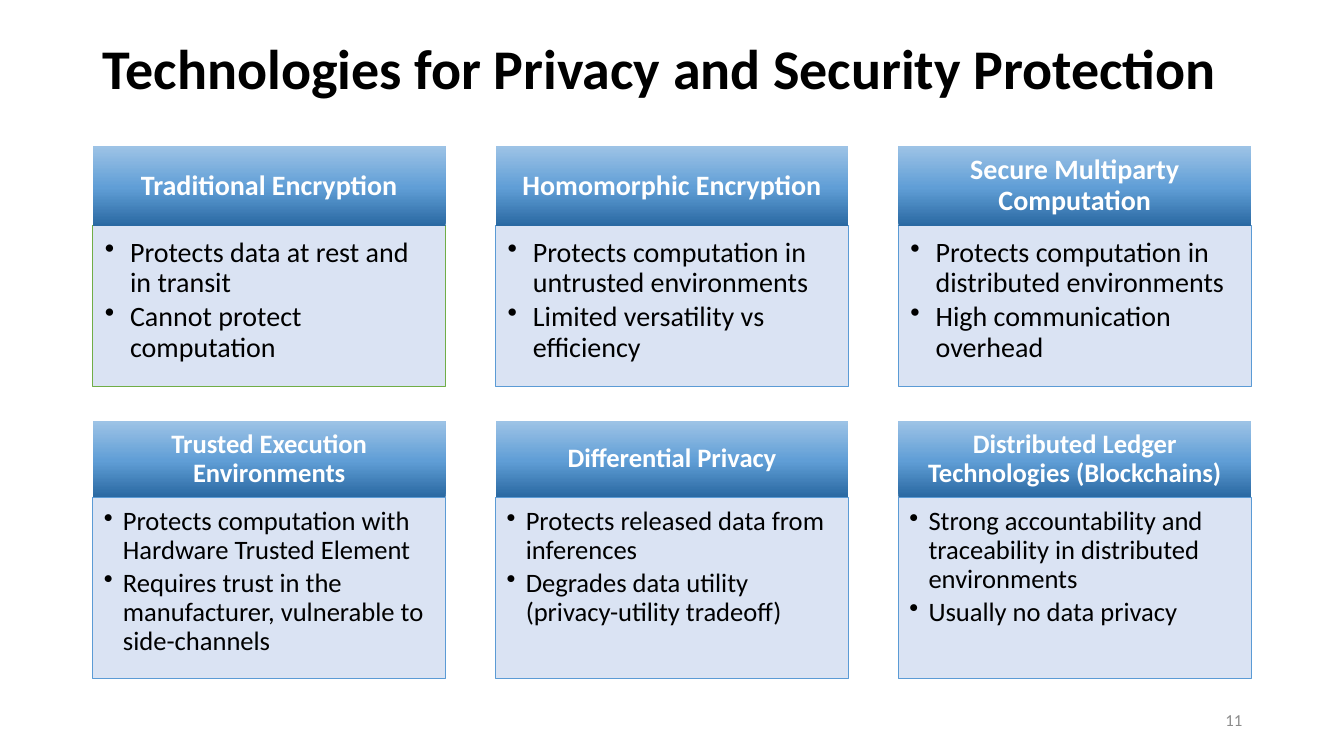
import copy
import dataclasses

import lxml.etree
import pptx
import pptx.dml.color
import pptx.enum.shapes
import pptx.enum.text
import pptx.oxml.ns
import pptx.util

Inches = pptx.util.Inches
Pt = pptx.util.Pt
Align = pptx.enum.text.PP_ALIGN
Anchor = pptx.enum.text.MSO_ANCHOR


@dataclasses.dataclass(frozen=True)
class Theme:
    face: str = "Calibri"
    ink: str = "000000"
    white: str = "FFFFFF"
    gray: str = "8C8C8C"
    pale: str = "DAE3F3"
    blue: str = "5B9BD5"
    green: str = "70AD47"
    fade: tuple = ((0, "2A69A2"), (0.48, "609ED6"), (1, "9DC3E6"))
    title: int = 40
    large: int = 20
    body: int = 19
    small: int = 12


@dataclasses.dataclass(frozen=True)
class Row:
    top: float
    head: float
    body: float
    size: int
    indent: float
    head_pad: tuple
    body_pad: tuple
    cards: tuple


def color(code):
    return pptx.dml.color.RGBColor.from_string(code)


class Page:
    def __init__(self, deck, theme):
        self.theme = theme
        self.slide = deck.slides.add_slide(deck.slide_layouts[5])

    def style(self, para, size, code, bold=False, align=Align.LEFT, after=0):
        para.alignment = align
        para.line_spacing = 0.9
        para.space_before = Pt(0)
        para.space_after = Pt(after)
        font = para.font
        font.name = self.theme.face
        font.size = Pt(size)
        font.bold = bold
        font.color.rgb = color(code)

    def frame(self, shape, pad, anchor):
        frame = shape.text_frame
        frame.word_wrap = True
        frame.auto_size = pptx.enum.text.MSO_AUTO_SIZE.NONE
        frame.vertical_anchor = anchor
        (frame.margin_left, frame.margin_top,
         frame.margin_right, frame.margin_bottom) = map(Inches, pad)
        return frame

    def title(self, text, box):
        shape = self.slide.shapes.title
        shape.left, shape.top, shape.width, shape.height = map(Inches, box)
        frame = self.frame(shape, (0.1, 0.05, 0.1, 0.05), Anchor.MIDDLE)
        frame.text = text
        self.style(frame.paragraphs[0], self.theme.title, self.theme.ink, True)

    def number(self, text, box):
        shape = self.slide.shapes.add_textbox(*map(Inches, box))
        frame = self.frame(shape, (0.1, 0.05, 0.1, 0.05), Anchor.MIDDLE)
        frame.text = text
        self.style(frame.paragraphs[0], self.theme.small, self.theme.gray,
                   align=Align.RIGHT)

    def panel(self, box):
        kind = pptx.enum.shapes.MSO_SHAPE.RECTANGLE
        shape = self.slide.shapes.add_shape(kind, *map(Inches, box))
        shape.shadow.inherit = False
        return shape

    def header(self, text, box, row):
        shape = self.panel(box)
        shape.line.fill.background()
        fill = shape.fill
        fill.gradient()
        fill.gradient_angle = 90
        stops = shape.element.spPr.find(".//" + pptx.oxml.ns.qn("a:gsLst"))
        stops.append(copy.deepcopy(stops[-1]))
        for stop, (place, code) in zip(fill.gradient_stops, self.theme.fade):
            stop.position = place
            stop.color.rgb = color(code)
        frame = self.frame(shape, row.head_pad, Anchor.MIDDLE)
        frame.text = text
        self.style(frame.paragraphs[0], row.size, self.theme.white, True,
                   Align.CENTER)

    def bullets(self, items, box, row, edge):
        shape = self.panel(box)
        shape.fill.solid()
        shape.fill.fore_color.rgb = color(self.theme.pale)
        shape.line.color.rgb = color(edge)
        shape.line.width = Pt(0.5)
        frame = self.frame(shape, row.body_pad, Anchor.TOP)
        frame.text = "\n".join(items)
        for para in frame.paragraphs:
            props = para._p.get_or_add_pPr()
            props.set("marL", str(Inches(row.indent)))
            props.set("indent", str(-Inches(row.indent)))
            mark = lxml.etree.SubElement(props, pptx.oxml.ns.qn("a:buChar"))
            mark.set("char", "•")
            self.style(para, row.size, self.theme.ink, after=3)


def main():
    theme = Theme()
    deck = pptx.Presentation()
    deck.slide_width = Inches(13.33)
    deck.slide_height = Inches(7.5)
    page = Page(deck, theme)
    page.title("Technologies for Privacy and Security Protection",
               (0.92, -0.02, 11.5, 1.45))
    page.number("11", (9.42, 6.95, 3, 0.4))

    rows = (
        Row(1.45, 0.79, 1.59, theme.large, 0.25,
            (0.16, 0.09, 0.16, 0.09), (0.12, 0.12, 0.16, 0.17), (
                ("Traditional Encryption",
                 ("Protects data at rest and in transit",
                  "Cannot protect computation")),
                ("Homomorphic Encryption",
                 ("Protects computation in untrusted environments",
                  "Limited versatility vs efficiency")),
                ("Secure Multiparty Computation",
                 ("Protects computation in distributed environments",
                  "High communication overhead")))),
        Row(4.18, 0.75, 1.8, theme.body, 0.19,
            (0.15, 0.08, 0.15, 0.08), (0.11, 0.11, 0.15, 0.17), (
                ("Trusted Execution Environments",
                 ("Protects computation with Hardware Trusted Element",
                  "Requires trust in the manufacturer, "
                  "vulnerable to side-channels")),
                ("Differential Privacy",
                 ("Protects released data from inferences",
                  "Degrades data utility (privacy-utility tradeoff)")),
                ("Distributed Ledger Technologies (Blockchains)",
                 ("Strong accountability and traceability "
                  "in distributed environments",
                  "Usually no data privacy")))),
    )
    left, right, width = 0.92, 12.41, 3.5
    pitch = (right - left - width) / 2
    for row in rows:
        for col, (head, items) in enumerate(row.cards):
            x = left + col * pitch
            first = row is rows[0] and col == 0
            edge = theme.green if first else theme.blue
            page.bullets(items, (x, row.top + row.head, width, row.body),
                         row, edge)
            page.header(head, (x, row.top, width, row.head), row)

    deck.save("out.pptx")


if __name__ == "__main__":
    main()
